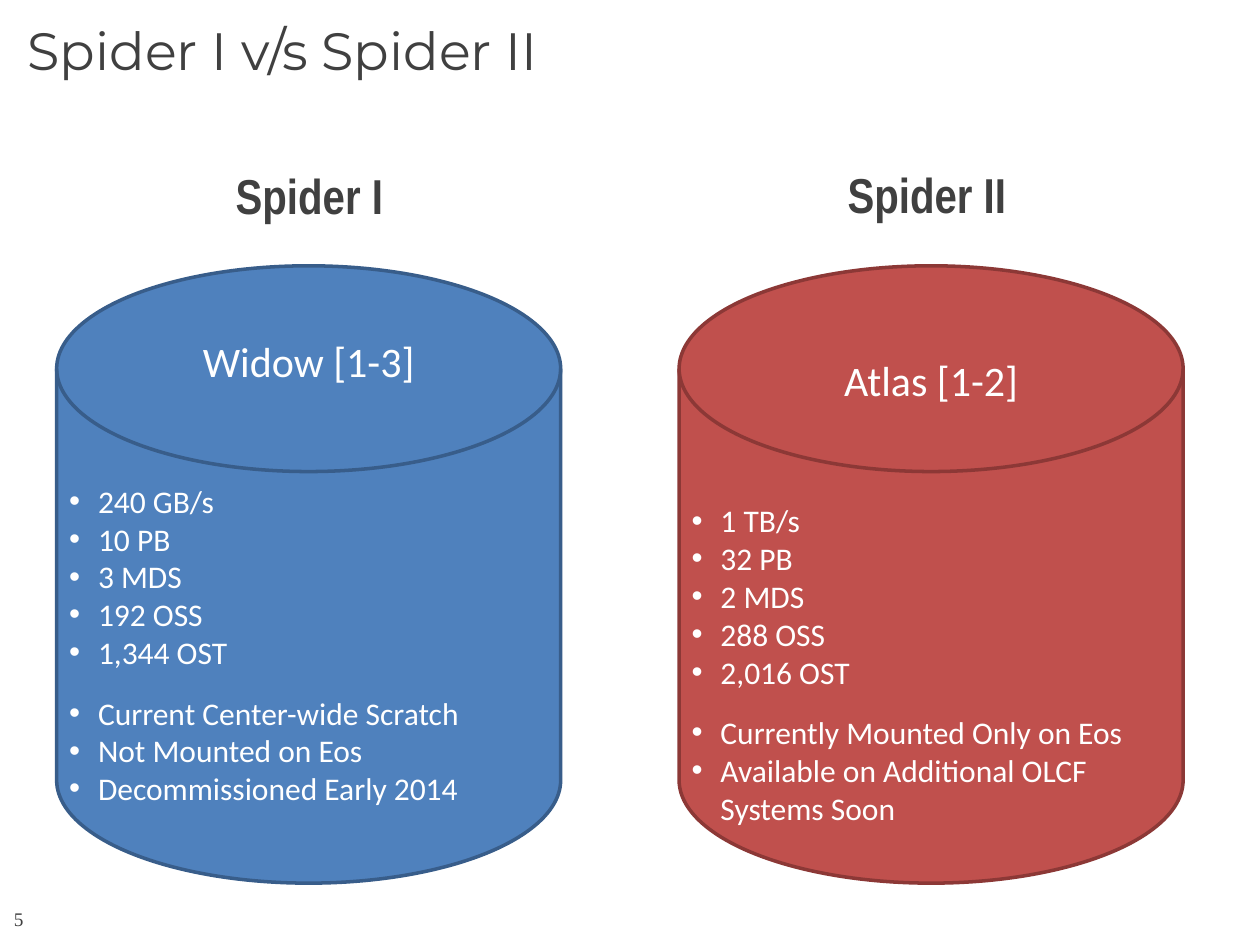
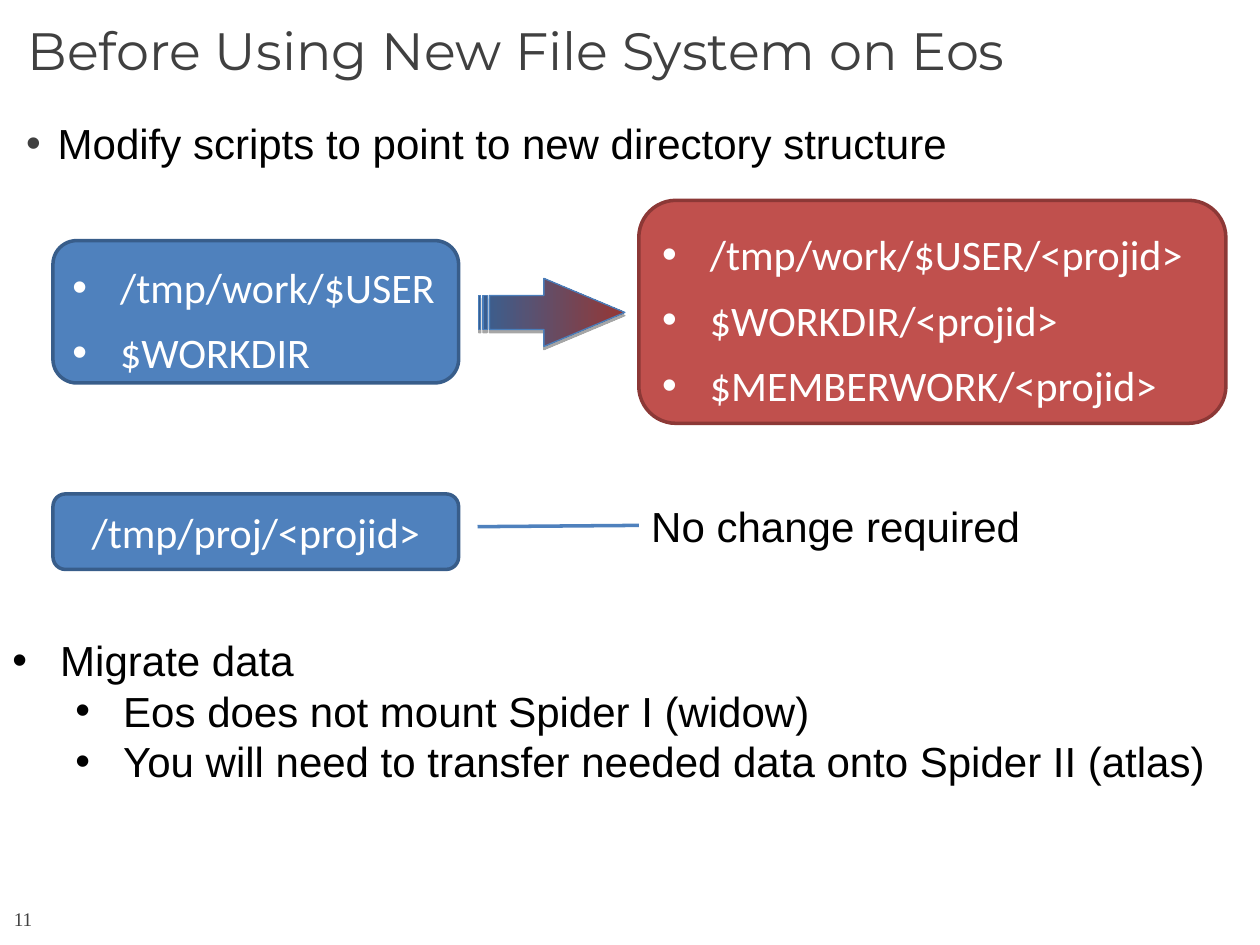
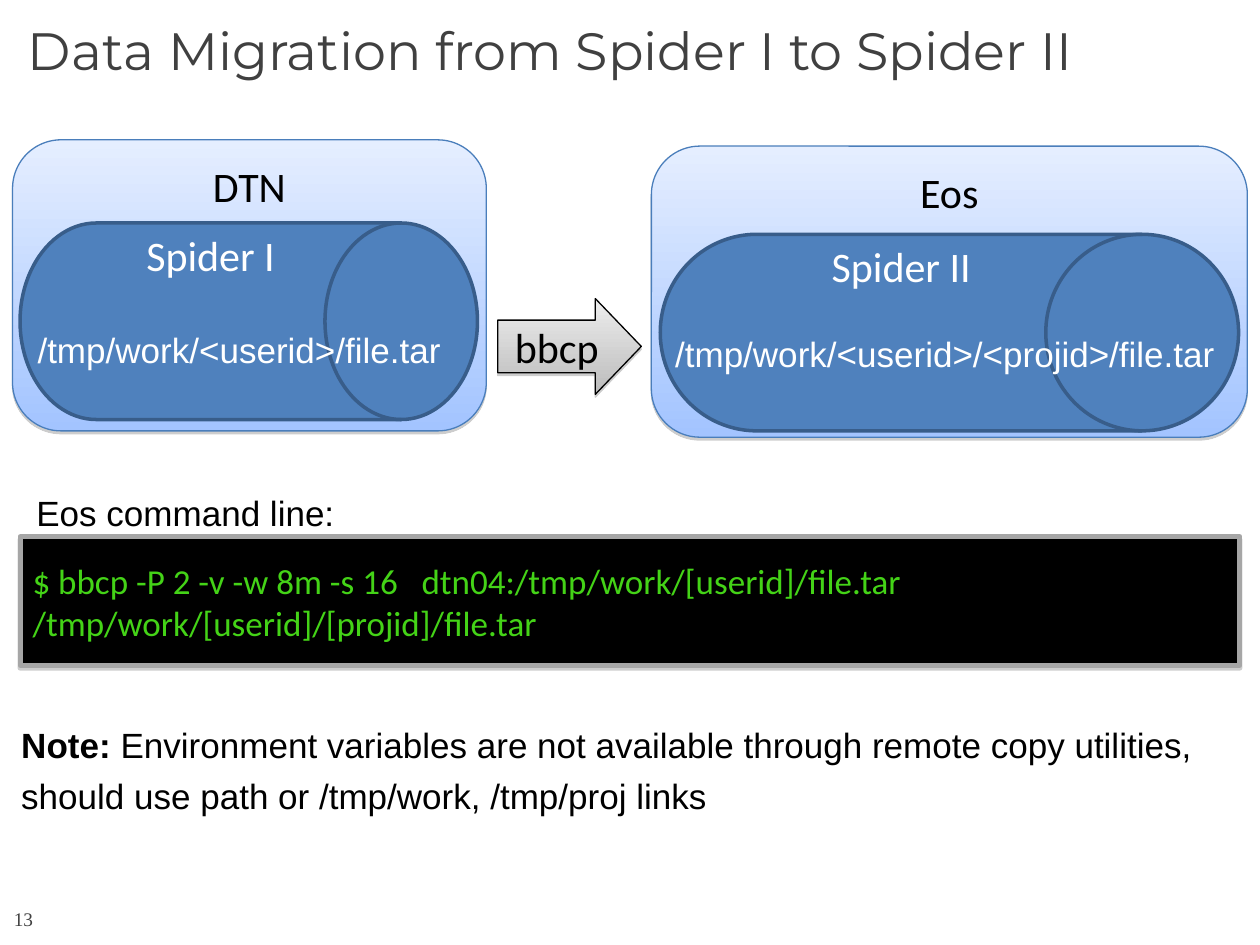
from dataclasses import dataclass

from lxml import etree
from pptx import Presentation
from pptx.dml.color import RGBColor
from pptx.enum.shapes import MSO_CONNECTOR, MSO_SHAPE
from pptx.enum.text import MSO_ANCHOR, PP_ALIGN
from pptx.oxml.ns import qn
from pptx.util import Inches, Pt

LEFT, CENTER = PP_ALIGN.LEFT, PP_ALIGN.CENTER
TOP, MIDDLE = MSO_ANCHOR.TOP, MSO_ANCHOR.MIDDLE
DISK, DRUM = MSO_SHAPE.FLOWCHART_MAGNETIC_DISK, MSO_SHAPE.FLOWCHART_DIRECT_ACCESS_STORAGE
ROUNDED, RECTANGLE = MSO_SHAPE.ROUNDED_RECTANGLE, MSO_SHAPE.RECTANGLE
ARROW, STRIPED_ARROW = MSO_SHAPE.RIGHT_ARROW, MSO_SHAPE.STRIPED_RIGHT_ARROW
STRAIGHT = MSO_CONNECTOR.STRAIGHT
TITLE_ONLY = 5
COLUMNS, ROWS = 100, 75

COLORS = {
    "blue": "4F81BD", "blue edge": "385D8A", "red": "C0504D", "red edge": "8C3836",
    "thin edge": "4A7EBB", "host top": "E5EEFF", "host bottom": "A3C4FF",
    "arrow start": "376092", "arrow end": "953735",
    "copy top": "EDEDED", "copy bottom": "BCBCBC",
    "white": "FFFFFF", "black": "000000", "dark": "404040",
    "frame": "A6A6A6", "terminal": "44D317", "shade": "808080",
}
OLD_SYSTEM = {"fill": "blue", "edge": "blue edge"}
NEW_SYSTEM = {"fill": "red", "edge": "red edge"}
HOST = {"fill": ("host top", "host bottom", 270), "edge": "thin edge", "weight": 0.75,
        "shadow": ("shade", 38, 1.6)}


@dataclass
class Line:
    text: str
    size: float = 24
    align: PP_ALIGN = LEFT
    margin: float = 0
    hang: float = 0
    level: int = 0
    before: float = 0
    lead: str = ""
    bold: bool = False


def bullets(texts, size=24, margin=0.38, hang=0.38, level=0, before=0):
    return [Line(text, size, margin=margin, hang=hang, level=level,
                 before=0 if index else before) for index, text in enumerate(texts)]


class SlideBuilder:
    def __init__(self):
        self.deck = Presentation()
        self.deck.slide_width, self.deck.slide_height = Inches(10), Inches(7.5)
        self.page = None

    def color(self, name):
        return RGBColor.from_string(COLORS[name])

    def place(self, column, row, columns, rows):
        across, down = self.deck.slide_width / COLUMNS, self.deck.slide_height / ROWS
        return [round(value) for value in
                (column * across, row * down, columns * across, rows * down)]

    def start(self, title, number, columns=90):
        self.page = self.deck.slides.add_slide(self.deck.slide_layouts[TITLE_ONLY])
        box = self.page.shapes.title
        box.left, box.top, box.width, box.height = self.place(1.2, 1.7, columns, 5.4)
        self.set_lines(box.text_frame, [Line(title, 30)], "Montserrat", "dark", spacing=0.85)
        self.text((1.1, 72.2, 5, 1.7), [Line(number, 11)], "Times New Roman", "dark",
                  spacing=0.9, insets=(0, 0, 0, 0))

    def set_lines(self, frame, lines, font, color, anchor=TOP, spacing=1.0,
                  insets=(0.1, 0.05, 0.1, 0.05), bullet_color=None):
        frame.word_wrap = True
        frame.vertical_anchor = anchor
        (frame.margin_left, frame.margin_top,
         frame.margin_right, frame.margin_bottom) = map(Inches, insets)
        for index, line in enumerate(lines):
            para = frame.paragraphs[0] if index == 0 else frame.add_paragraph()
            para.alignment, para.level = line.align, line.level
            para.line_spacing = spacing
            para.space_before = Pt(line.before)
            if line.hang:
                self.bullet(para, line, bullet_color or color)
            for part in filter(None, (line.lead, line.text)):
                span = para.add_run()
                span.text = part
                span.font.name, span.font.size = font, Pt(line.size)
                span.font.bold = line.bold or part == line.lead
                span.font.color.rgb = self.color(color)

    def bullet(self, para, line, color):
        properties = para._p.get_or_add_pPr()
        properties.set("marL", str(Inches(line.margin)))
        properties.set("indent", str(-Inches(line.hang)))
        tint = etree.SubElement(properties, qn("a:buClr"))
        etree.SubElement(tint, qn("a:srgbClr"), val=COLORS[color])
        etree.SubElement(properties, qn("a:buFont"), typeface="Arial")
        etree.SubElement(properties, qn("a:buChar"), char="•")

    def text(self, area, lines, font="Arial", color="black", **style):
        box = self.page.shapes.add_textbox(*self.place(*area))
        self.set_lines(box.text_frame, lines, font, color, **style)
        return box

    def shape(self, kind, area, fill, edge, lines=(), weight=2, shadow=None,
              adjustments=(), color="white", anchor=MIDDLE, **style):
        box = self.page.shapes.add_shape(kind, *self.place(*area))
        for index, value in enumerate(adjustments):
            box.adjustments[index] = value
        self.paint(box.fill, fill)
        box.line.color.rgb, box.line.width = self.color(edge), Pt(weight)
        box.shadow.inherit = False
        if shadow:
            self.cast(box, *shadow)
        self.set_lines(box.text_frame, lines, "Calibri", color, anchor=anchor, **style)
        return box

    def paint(self, fill, paint):
        if isinstance(paint, str):
            fill.solid()
            fill.fore_color.rgb = self.color(paint)
            return
        first, last, angle = paint
        fill.gradient()
        fill.gradient_angle = angle
        for stop, name in zip(fill.gradient_stops, (first, last)):
            stop.color.rgb = self.color(name)

    def cast(self, box, color, opacity, distance):
        effects = box._element.spPr.find(qn("a:effectLst"))
        outer = etree.SubElement(effects, qn("a:outerShdw"), blurRad="0",
                                 dist=str(Pt(distance)), dir="5400000", rotWithShape="0")
        tint = etree.SubElement(outer, qn("a:srgbClr"), val=COLORS[color])
        etree.SubElement(tint, qn("a:alpha"), val=str(opacity * 1000))

    def connect(self, start, end, color):
        line = self.page.shapes.add_connector(STRAIGHT, *self.place(*start, *end))
        line.line.color.rgb, line.line.width = self.color(color), Pt(2)
        etree.SubElement(line._element.spPr, qn("a:effectLst"))

    def group(self, boxes):
        self.page.shapes.add_group_shape(shapes=boxes)


def compare_systems(builder):
    builder.start("Spider I v/s Spider II", "5")
    systems = [
        ("Spider I", (4.6, 13.2), 4.5, OLD_SYSTEM, "Widow [1-3]", 0.92,
         ["240 GB/s", "10 PB", "3 MDS", "192 OSS", "1,344 OST"],
         ["Current Center-wide Scratch", "Not Mounted on Eos", "Decommissioned Early 2014"]),
        ("Spider II", (53.6, 13.1), 53.9, NEW_SYSTEM, "Atlas [1-2]", 0.61,
         ["1 TB/s", "32 PB", "2 MDS", "288 OSS", "2,016 OST"],
         ["Currently Mounted Only on Eos", "Available on Additional OLCF Systems Soon"]),
    ]
    for name, corner, column, style, volumes, lift, figures, status in systems:
        builder.text((*corner, 39.9, 5.3), [Line(name, 28, CENTER, bold=True)],
                     "Arial Narrow", "dark", spacing=0.9)
        lines = [Line(volumes, align=CENTER)]
        for items, gap in ((figures, 55), (status, 13)):
            lines += bullets(items, 18, 0.23, 0.23, before=gap)
        builder.shape(DISK, (column, 21.1, 40, 49), lines=lines,
                      insets=(0.1, 0.05, 0.1, lift), **style)


def prepare_scripts(builder):
    builder.start("Before Using New File System on Eos", "11")
    builder.text((1.1, 9.3, 95.7, 4.7),
                 bullets(["Modify scripts to point to new directory structure"],
                         margin=0.25, hang=0.25), spacing=0.9, bullet_color="dark")
    builder.shape(ROUNDED, (4.2, 19.1, 32.2, 11.3), spacing=1.3,
                  lines=bullets(["/tmp/work/$USER", "$WORKDIR"]), **OLD_SYSTEM)
    builder.shape(ROUNDED, (4.2, 39.2, 32.2, 6),
                  lines=[Line("/tmp/proj/<projid>", align=CENTER)], **OLD_SYSTEM)
    builder.shape(STRIPED_ARROW, (38, 22.1, 11.6, 5.4), ("arrow start", "arrow end", 0),
                  "thin edge", weight=0.75, shadow=("black", 35, 1.8),
                  adjustments=(0.5, 1.19))
    builder.shape(ROUNDED, (50.7, 15.9, 46.6, 17.7), spacing=1.3,
                  lines=bullets(["/tmp/work/$USER/<projid>", "$WORKDIR/<projid>",
                                 "$MEMBERWORK/<projid>"]), **NEW_SYSTEM)
    builder.text((50.7, 39.2, 46.1, 5), [Line("No change required")])
    builder.text((0, 49.9, 100, 13), bullets(["Migrate data"]) + bullets(
        ["Eos does not mount Spider I (widow)",
         "You will need to transfer needed data onto Spider II (atlas)"],
        margin=0.88, level=1))
    builder.connect((37.9, 41.8), (50.7, 41.7), "blue")


def migrate_data(builder):
    builder.start("Data Migration from Spider I to Spider II", "13", 98.8)
    hosts = [
        ("DTN", (1, 11.1, 37.6, 23.1), "Spider I", (1.6, 17.7, 36.3, 15.6),
         "/tmp/work/<userid>/file.tar", (2, 25.6, 38.3, 4.4)),
        ("Eos", (51.7, 11.6, 47.3, 23.1), "Spider II", (52.4, 18.6, 45.9, 15.6),
         "/tmp/work/<userid>/<projid>/file.tar", (52.6, 25.9, 45.8, 4.4)),
    ]
    for host, host_area, system, drum_area, location, location_area in hosts:
        builder.group([
            builder.shape(ROUNDED, host_area, lines=[Line(host, align=CENTER)],
                          color="black", anchor=TOP, **HOST),
            builder.shape(DRUM, drum_area, lines=[Line(system, align=CENTER)],
                          anchor=TOP, **OLD_SYSTEM),
            builder.text(location_area, [Line(location, 20)], color="white"),
        ])
    builder.shape(ARROW, (39.5, 23.7, 11.4, 7.6), ("copy top", "copy bottom", 270), "black",
                  [Line("bbcp", align=CENTER)], weight=0.75, shadow=HOST["shadow"],
                  adjustments=(0.55, 0.48), color="black")
    command = ("$ bbcp -P 2 -v -w 8m -s 16   dtn04:/tmp/work/[userid]/file.tar"
               "     /tmp/work/[userid]/[projid]/file.tar")
    builder.shape(RECTANGLE, (1.6, 42.6, 96.8, 10.2), "black", "frame", [Line(command, 20)],
                  weight=3, shadow=HOST["shadow"], color="terminal")
    builder.text((1.9, 38.5, 36.4, 4.4), [Line("Eos command line:", 20)])
    note = ("Environment variables are not available through remote copy utilities, "
            "should use path or /tmp/work, /tmp/proj links")
    builder.text((0.7, 56.3, 98.5, 9), [Line(note, 20, lead="Note: ")], spacing=1.2)


def main():
    builder = SlideBuilder()
    compare_systems(builder)
    prepare_scripts(builder)
    migrate_data(builder)
    builder.deck.save("out.pptx")


if __name__ == "__main__":
    main()
